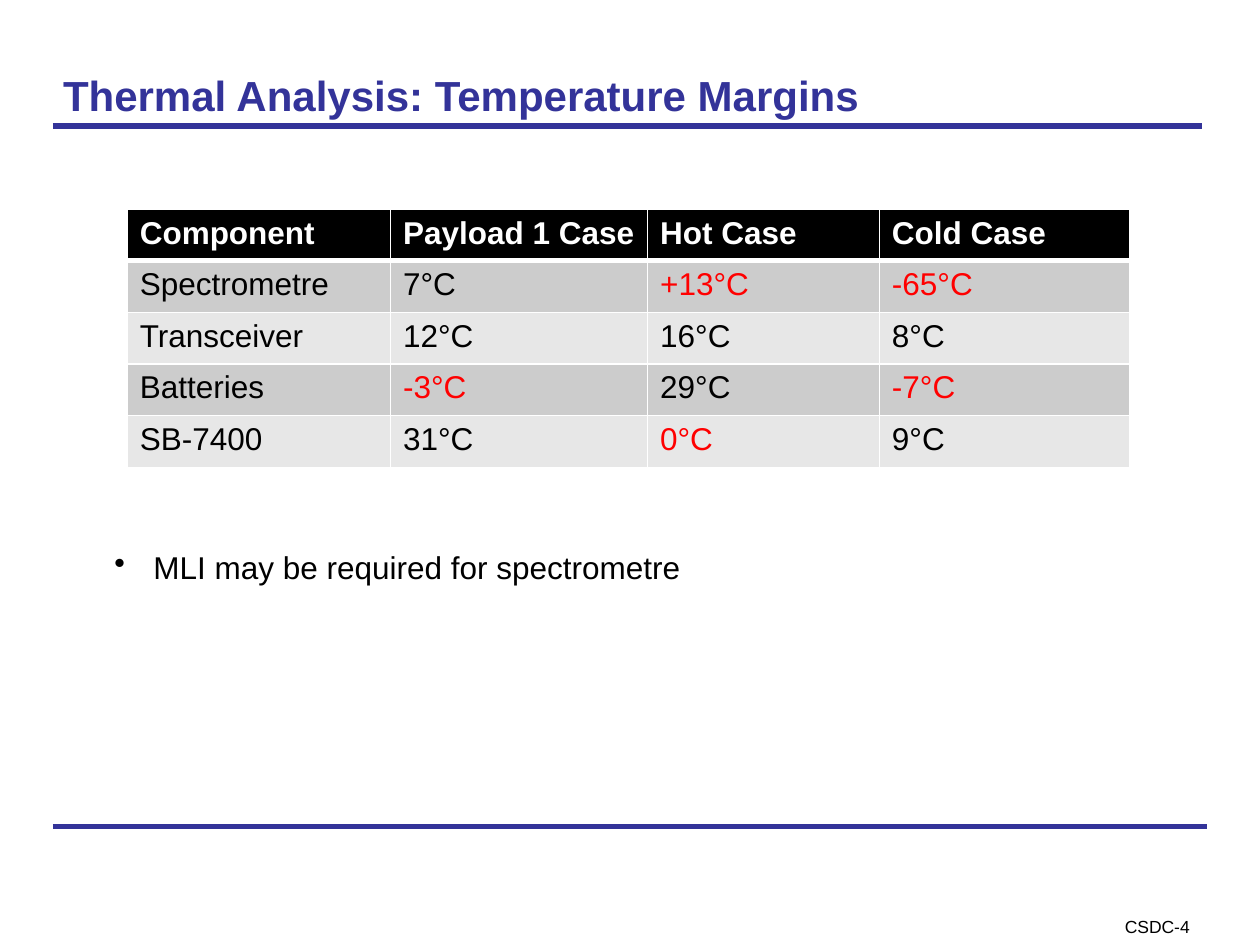
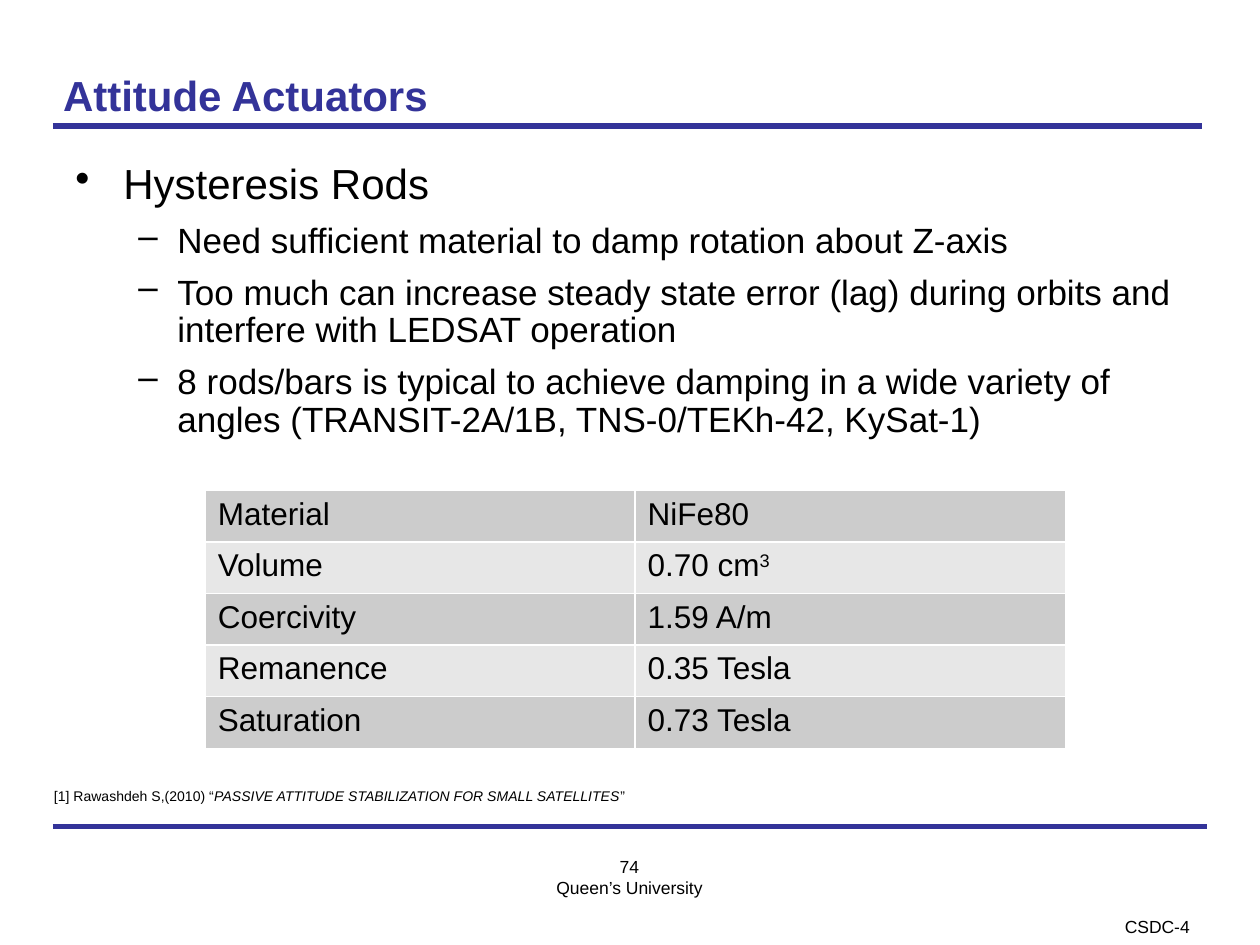
"""Build two satellite design review slides: temperature margins and attitude actuators."""
import pptx
import pptx.dml.color
import pptx.enum.shapes
import pptx.enum.text
import pptx.oxml.ns
import pptx.util
from lxml import etree

SCALE = 9144
FONT = "Arial"
COLOURS = {
    "ink": "000000",
    "accent": "333399",
    "alert": "FF0000",
    "paper": "FFFFFF",
    "dark_band": "CCCCCC",
    "light_band": "E7E7E7",
}
ALIGN = pptx.enum.text.PP_ALIGN
ANCHOR = pptx.enum.text.MSO_ANCHOR

RULES = [(42, 656, 958), (42, 100, 954)]
FOOTER = {"box": (865, 727, 107, 14), "paragraphs": ["CSDC-4"], "size": 10,
          "align": ALIGN.CENTER, "insets": (8, 0)}
TITLE = {"box": (48, 44, 902, 62), "size": 24, "bold": True, "colour": "accent",
         "anchor": ANCHOR.MIDDLE, "insets": (2, 5)}
LEVELS = [
    {"size": 24, "bullet": "•", "indent": (38, -38), "before": 12, "spacing": 0.9},
    {"size": 20, "bullet": "–", "indent": (81, -31), "before": 8, "spacing": 0.9},
]
ROW_HEIGHT = 41
HEADER_EDGE = 3
CELL_EDGE = 1

MARGINS = {
    "title": "Thermal Analysis: Temperature Margins",
    "table": {
        "at": (101, 166),
        "columns": [209, 204, 184, 199],
        "header": ["Component", "Payload 1 Case", "Hot Case", "Cold Case"],
        "rows": [
            ["Spectrometre", "7°C", "+13°C", "-65°C"],
            ["Transceiver", "12°C", "16°C", "8°C"],
            ["Batteries", "-3°C", "29°C", "-7°C"],
            ["SB-7400", "31°C", "0°C", "9°C"],
        ],
        "alerts": {"+13°C", "-65°C", "-3°C", "-7°C", "0°C"},
    },
    "texts": [
        {"box": (81, 430, 841, 40), "paragraphs": ["MLI may be required for spectrometre"],
         "size": 18, "bullet": "•", "indent": (31, -31)},
    ],
}
ACTUATORS = {
    "title": "Attitude Actuators",
    "outline": [
        (0, "Hysteresis Rods"),
        (1, "Need sufficient material to damp rotation about Z-axis"),
        (1, "Too much can increase steady state error (lag) during orbits and "
            "interfere with LEDSAT operation"),
        (1, "8 rods/bars is typical to achieve damping in a wide variety of angles "
            "(TRANSIT-2A/1B, TNS-0/TEKh-42, KySat-1)"),
    ],
    "texts": [
        {"box": (175, 675, 649, 46), "paragraphs": ["74", "Queen’s University"],
         "size": 10, "align": ALIGN.CENTER, "insets": (10, 4)},
        {"box": (33, 620, 486, 24), "size": 8, "paragraphs": [[
            ("[1] Rawashdeh S,(2010) “", {}),
            ("PASSIVE ATTITUDE STABILIZATION FOR SMALL SATELLITES", {"italic": True}),
            ("”", {}),
        ]]},
    ],
    "table": {
        "at": (163, 389),
        "columns": [341, 342],
        "header": [],
        "rows": [
            ["Material", "NiFe80"],
            ["Volume", [("0.70 cm", {}), ("3", {"raised": 30})]],
            ["Coercivity", "1.59 A/m"],
            ["Remanence", "0.35 Tesla"],
            ["Saturation", "0.73 Tesla"],
        ],
        "alerts": set(),
    },
}
OUTLINE_BOX = (50, 125, 922, 524)


def px(length):
    return pptx.util.Emu(length * SCALE)


def rgb(colour):
    return pptx.dml.color.RGBColor.from_string(COLOURS[colour])


def child(parent, tag, **attributes):
    return etree.SubElement(parent, pptx.oxml.ns.qn(tag), attributes)


def apply(target, formats):
    for attribute, setting in formats.items():
        setattr(target, attribute, setting)


def write(paragraph, content, size, colour="ink", bold=False, align=ALIGN.LEFT,
          bullet=None, indent=(0, 0), before=0, spacing=None):
    properties = paragraph._p.get_or_add_pPr()
    if bullet:
        for key, length in zip(("marL", "indent"), indent):
            properties.set(key, str(px(length)))
        child(properties, "a:buChar", char=bullet)
    apply(paragraph, {"alignment": align, "line_spacing": spacing,
                      "space_before": pptx.util.Pt(before)})
    pieces = [(content, {})] if isinstance(content, str) else content
    for words, extras in pieces:
        run = paragraph.add_run()
        run.text = words
        apply(run.font, {"name": FONT, "size": pptx.util.Pt(size), "bold": bold,
                         "italic": extras.get("italic", False)})
        run.font.color.rgb = rgb(colour)
        if "raised" in extras:
            run._r.get_or_add_rPr().set("baseline", str(extras["raised"] * 1000))


def add_frame(slide, box, insets=(10, 5), anchor=ANCHOR.TOP):
    frame = slide.shapes.add_textbox(*map(px, box)).text_frame
    side, edge = map(px, insets)
    apply(frame, {"word_wrap": True, "vertical_anchor": anchor, "margin_left": side,
                  "margin_right": side, "margin_top": edge, "margin_bottom": edge})
    return frame


def write_all(frame, entries):
    for position, (content, formats) in enumerate(entries):
        paragraph = frame.add_paragraph() if position else frame.paragraphs[0]
        write(paragraph, content, **(formats if position else {**formats, "before": 0}))


def add_text(slide, box, paragraphs, insets=(10, 5), anchor=ANCHOR.TOP, **formats):
    frame = add_frame(slide, box, insets, anchor)
    write_all(frame, [(content, formats) for content in paragraphs])


def add_rule(slide, left, top, right):
    rule = slide.shapes.add_connector(pptx.enum.shapes.MSO_CONNECTOR.STRAIGHT,
                                      *map(px, (left, top, right, top)))
    rule.line.color.rgb = rgb("accent")
    rule.line.width = pptx.util.Pt(3)
    child(rule._element.spPr, "a:effectLst")


def add_borders(cell, top, bottom):
    properties = cell._tc.get_or_add_tcPr()
    edges = {"a:lnL": CELL_EDGE, "a:lnR": CELL_EDGE, "a:lnT": top, "a:lnB": bottom}
    for tag, width in edges.items():
        line = child(properties, tag, w=str(pptx.util.Pt(width)))
        child(child(line, "a:solidFill"), "a:srgbClr", val=COLOURS["paper"])


def add_grid(slide, at, columns, header, rows, alerts):
    lines = ([header] if header else []) + rows
    size = sum(columns), ROW_HEIGHT * len(lines)
    grid = slide.shapes.add_table(len(lines), len(columns), *map(px, at + size)).table
    apply(grid, {"first_row": False, "horz_banding": False})
    for column, width in zip(grid.columns, columns):
        column.width = px(width)
    first_body = len(lines) - len(rows)
    for position, line in enumerate(lines):
        grid.rows[position].height = px(ROW_HEIGHT)
        heading = position < first_body
        band = ("dark_band", "light_band")[(position - first_body) % 2]
        top = HEADER_EDGE if header and position == first_body else CELL_EDGE
        bottom = HEADER_EDGE if heading else CELL_EDGE
        for cell, content in zip(grid.rows[position].cells, line):
            add_borders(cell, top, bottom)
            cell.fill.solid()
            cell.fill.fore_color.rgb = rgb("ink" if heading else band)
            alert = isinstance(content, str) and content in alerts
            colour = "paper" if heading else "alert" if alert else "ink"
            write(cell.text_frame.paragraphs[0], content, 18, colour, heading)


def add_page(deck, page):
    slide = deck.slides.add_slide(deck.slide_layouts[6])
    for rule in RULES:
        add_rule(slide, *rule)
    add_text(slide, **FOOTER)
    add_text(slide, paragraphs=[page["title"]], **TITLE)
    if "outline" in page:
        write_all(add_frame(slide, OUTLINE_BOX),
                  [(content, LEVELS[level]) for level, content in page["outline"]])
    for text in page["texts"]:
        add_text(slide, **text)
    add_grid(slide, **page["table"])


def main():
    deck = pptx.Presentation()
    apply(deck, {"slide_width": px(1000), "slide_height": px(750)})
    for page in (MARGINS, ACTUATORS):
        add_page(deck, page)
    deck.save("out.pptx")


if __name__ == "__main__":
    main()
